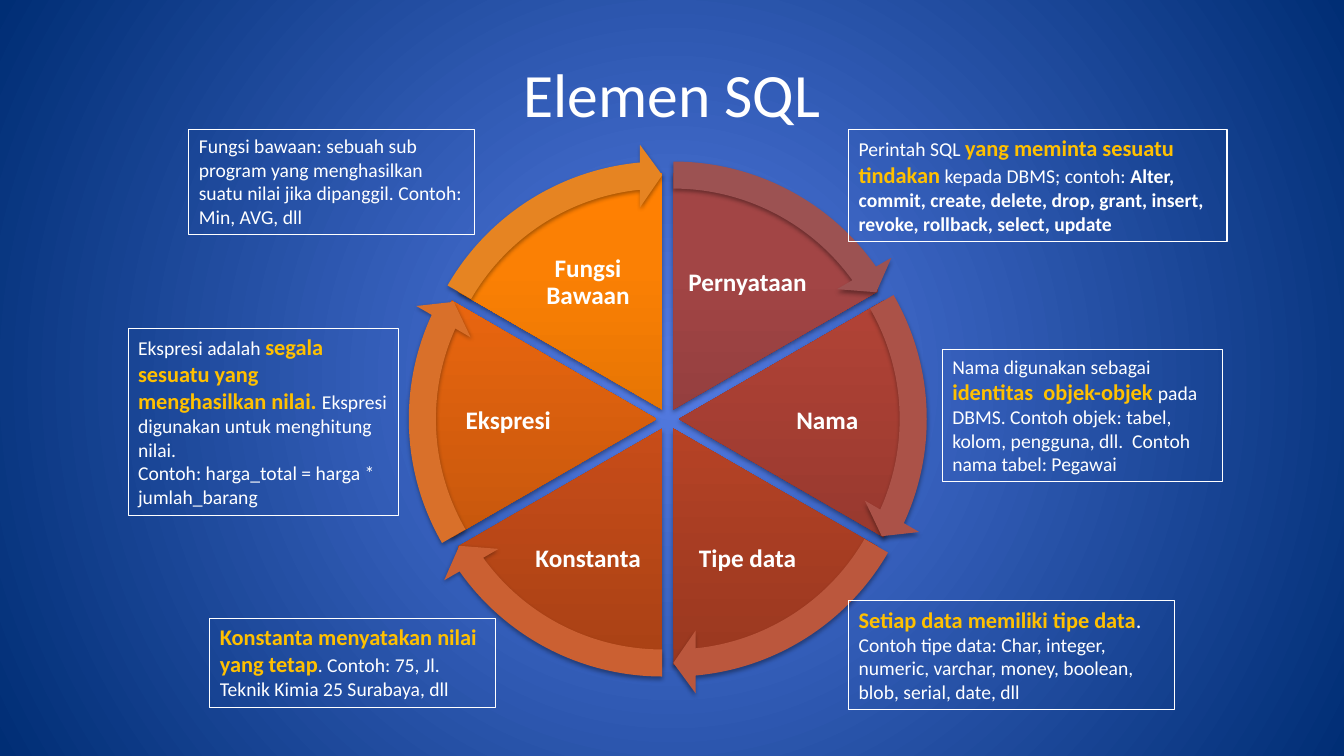
"""Build the slide on the elements of SQL: a six-part cycle with a note per part."""
from dataclasses import dataclass
from math import cos, radians, sin

from pptx import Presentation
from pptx.dml.color import RGBColor
from pptx.enum import shapes, text
from pptx.oxml import parse_xml
from pptx.oxml.ns import nsdecls
from pptx.util import Cm, Pt


@dataclass(frozen=True)
class Theme:
    font: str = "Calibri"
    white: str = "FFFFFF"
    gold: str = "FFC000"
    background: tuple = ((0, "547BE2"), (100, "002E75"))
    title_size: int = 44
    label_size: int = 18
    key_size: int = 16
    note_size: int = 14


theme = Theme()
PLAIN = (theme.note_size, theme.white, False)
BOLD = (theme.note_size, theme.white, True)
KEY = (theme.key_size, theme.gold, True)
LARGE = (theme.key_size, theme.white, False)
TITLE = (theme.title_size, theme.white, False)
LABEL = (theme.label_size, theme.white, True)


def add_run(paragraph, wording, style):
    size, colour, bold = style
    run = paragraph.add_run()
    run.text = wording
    run.font.name = theme.font
    run.font.size = Pt(size)
    run.font.bold = bold
    run.font.color.rgb = RGBColor.from_string(colour)


def set_gradient(solid_fill, stops, direction):
    stop_xml = "".join(
        f'<a:gs pos="{position * 1000}"><a:srgbClr val="{colour}"/></a:gs>'
        for position, colour in stops
    )
    gradient = parse_xml(
        f'<a:gradFill {nsdecls("a")} rotWithShape="1">'
        f"<a:gsLst>{stop_xml}</a:gsLst>{direction}</a:gradFill>"
    )
    solid_fill.getparent().replace(solid_fill, gradient)


presentation = Presentation()
presentation.slide_width = Cm(33.87)
presentation.slide_height = Cm(19.05)
slide = presentation.slides.add_slide(presentation.slide_layouts[6])

slide.background.fill.solid()
set_gradient(
    slide._element.xpath(".//p:bgPr/a:solidFill")[0],
    theme.background,
    '<a:path path="circle"><a:fillToRect l="50000" t="50000" r="50000" b="50000"/></a:path>',
)

title = slide.shapes.add_textbox(Cm(1.7), Cm(0.76), Cm(30.48), Cm(3.18))
title.text_frame.word_wrap = True
title.text_frame.vertical_anchor = text.MSO_ANCHOR.MIDDLE
title.text_frame.paragraphs[0].alignment = text.PP_ALIGN.CENTER
add_run(title.text_frame.paragraphs[0], "Elemen SQL", TITLE)

parts = [
    ("Pernyataan", ("7D3535", "A24545", "A44343"), "9C5252"),
    ("Nama", ("8B342B", "B44437", "B84235"), "AB5248"),
    ("Tipe data", ("9A3820", "C74929", "CB4726"), "BB573D"),
    ("Konstanta", ("A94115", "DB541B", "E05317"), "CB6032"),
    ("Ekspresi", ("B6500B", "EC670F", "F1670A"), "D9702A"),
    ("Fungsi Bawaan", ("C26203", "FB8004", "FF8002"), "E68422"),
]
CENTRE_X, CENTRE_Y, LABEL_CENTRE_Y = 16.83, 10.56, 10.61
SLICE_SIZE, ARROW_SIZE = 11.91, 13.39
SLICE_GAP, LABEL_RADIUS = 0.28, 4.02
LABEL_WIDTH, LABEL_HEIGHT, LABEL_MARGIN = 3.2, 2.41, 0.05
FULL_TURN, SLICE_TURN, ARROW_HEAD = 216, 36, 3.275

for kind, size in (
    (shapes.MSO_SHAPE.PIE, SLICE_SIZE),
    (shapes.MSO_SHAPE.CIRCULAR_ARROW, ARROW_SIZE),
):
    for index, (name, gradient_colours, arrow_colour) in enumerate(parts):
        middle = radians(60 * index - 60)
        start = (162 + SLICE_TURN * index) % FULL_TURN
        end = (start + SLICE_TURN) % FULL_TURN
        shape = slide.shapes.add_shape(
            kind,
            Cm(CENTRE_X + SLICE_GAP * cos(middle) - size / 2),
            Cm(CENTRE_Y + SLICE_GAP * sin(middle) - size / 2),
            Cm(size),
            Cm(size),
        )
        shape.line.fill.background()
        shape.fill.solid()
        shape.shadow.inherit = False
        shape._element.xpath("./p:spPr/a:effectLst")[0].append(parse_xml(
            f'<a:outerShdw {nsdecls("a")} blurRad="40000" dist="23000" dir="5400000" '
            'rotWithShape="0"><a:srgbClr val="000000"><a:alpha val="35000"/></a:srgbClr>'
            "</a:outerShdw>"
        ))

        if kind == shapes.MSO_SHAPE.CIRCULAR_ARROW:
            shape.fill.fore_color.rgb = RGBColor.from_string(arrow_colour)
            adjustments = (0.051, ARROW_HEAD, end - ARROW_HEAD, start, 0.059)
        else:
            set_gradient(
                shape._element.xpath("./p:spPr/a:solidFill")[0],
                zip((0, 80, 100), gradient_colours),
                '<a:lin ang="16200000" scaled="0"/>',
            )
            adjustments = (start, end)
        for position, value in enumerate(adjustments):
            shape.adjustments[position] = value

        if kind == shapes.MSO_SHAPE.PIE:
            label = slide.shapes.add_textbox(
                Cm(CENTRE_X + LABEL_RADIUS * cos(middle) - LABEL_WIDTH / 2),
                Cm(LABEL_CENTRE_Y + LABEL_RADIUS * sin(middle) - LABEL_HEIGHT / 2),
                Cm(LABEL_WIDTH),
                Cm(LABEL_HEIGHT),
            )
            frame = label.text_frame
            frame.word_wrap = True
            frame.vertical_anchor = text.MSO_ANCHOR.MIDDLE
            frame.margin_left = frame.margin_right = Cm(LABEL_MARGIN)
            frame.margin_top = frame.margin_bottom = Cm(LABEL_MARGIN)
            frame.paragraphs[0].alignment = text.PP_ALIGN.CENTER
            frame.paragraphs[0].line_spacing = 0.9
            add_run(frame.paragraphs[0], name, LABEL)

notes = [
    ((21.39, 3.26, 9.53, 2.82), 1, [[
        ("Perintah SQL ", PLAIN),
        ("yang meminta sesuatu tindakan", KEY),
        (" kepada DBMS; contoh: ", PLAIN),
        ("Alter, commit, create, delete, drop, grant, insert, "
         "revoke, rollback, select, update", BOLD),
    ]]),
    ((23.75, 8.81, 7.06, 3.33), 0.75, [[
        ("Nama digunakan sebagai ", PLAIN),
        ("identitas  objek-objek ", KEY),
        ("pada DBMS. Contoh objek: tabel, kolom, pengguna, dll.  "
         "Contoh nama tabel: Pegawai", PLAIN),
    ]]),
    ((21.39, 15.14, 8.2, 2.74), 0.75, [[
        ("Setiap data memiliki tipe data", KEY),
        (". ", LARGE),
        ("Contoh tipe data: Char, integer, numeric, varchar, money, "
         "boolean, blob, serial, date, dll", PLAIN),
    ]]),
    ((5.29, 15.58, 7.19, 2.24), 0.75, [[
        ("Konstanta menyatakan nilai yang tetap", KEY),
        (". Contoh: 75, Jl. Teknik Kimia 25 Surabaya, dll", PLAIN),
    ]]),
    ((3.23, 8.28, 6.81, 4.7), 0.75, [
        [
            ("Ekspresi adalah ", PLAIN),
            ("segala sesuatu yang menghasilkan nilai. ", KEY),
            ("Ekspresi digunakan untuk menghitung nilai.", PLAIN),
        ],
        [("Contoh: harga_total = harga * jumlah_barang", PLAIN)],
    ]),
    ((4.76, 3.26, 7.19, 2.64), 0.75, [[
        ("Fungsi bawaan: sebuah sub program yang menghasilkan suatu nilai "
         "jika dipanggil. Contoh: Min, AVG, dll", PLAIN),
    ]]),
]
for place, line_width, paragraphs in notes:
    note = slide.shapes.add_textbox(*map(Cm, place))
    note.line.color.rgb = RGBColor.from_string(theme.white)
    note.line.width = Pt(line_width)
    frame = note.text_frame
    frame.word_wrap = True
    frame.auto_size = text.MSO_AUTO_SIZE.SHAPE_TO_FIT_TEXT
    for index, runs in enumerate(paragraphs):
        paragraph = frame.add_paragraph() if index else frame.paragraphs[0]
        for wording, style in runs:
            add_run(paragraph, wording, style)

presentation.save("out.pptx")
